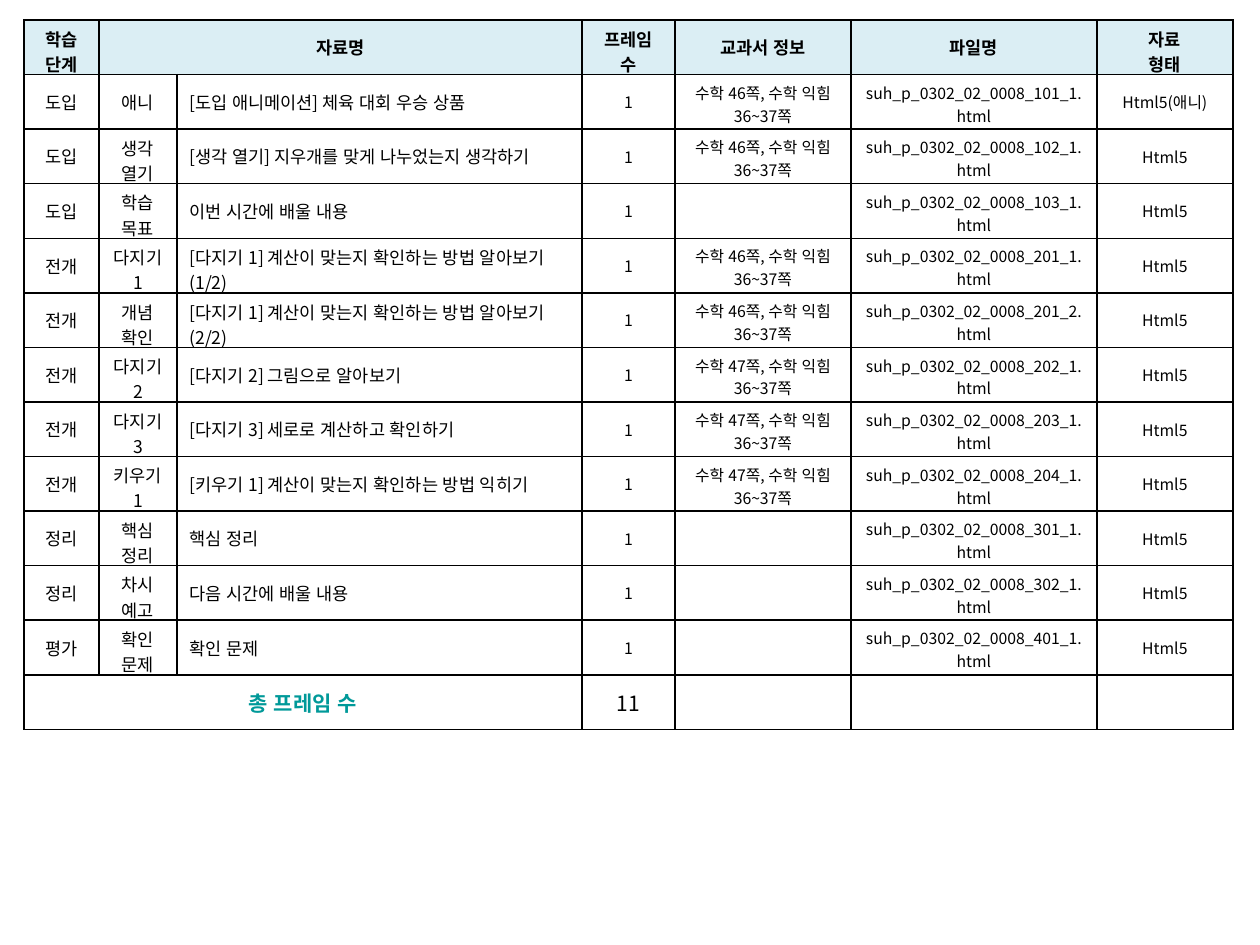
from dataclasses import dataclass

from lxml import etree
from pptx import Presentation
from pptx import util as u
from pptx.dml.color import RGBColor
from pptx.enum import lang, text
from pptx.oxml import ns

BLACK = RGBColor(0x00, 0x00, 0x00)
WHITE = RGBColor(0xFF, 0xFF, 0xFF)
TEAL = RGBColor(0x00, 0x99, 0x99)
PALE_BLUE = RGBColor(0xDB, 0xEE, 0xF4)
FONT = "Noto Sans CJK KR"
LEFT, TOP, HEIGHT = 24, 20, 710
COLUMNS = (75, 78, 405, 93, 176, 246, 136)
ONE_LINE_LENGTHS = (3, 3, 30, 3, 8, 8, 12)
HEADERS = ("학습 단계", "자료명", "", "프레임 수", "교과서 정보", "파일명", "자료\n형태")
CENTER = text.PP_ALIGN.CENTER


@dataclass(frozen=True)
class Material:
    stage: str
    step: str
    title: str
    code: str
    page: int | None = None
    form: str = "Html5"

    def values(self) -> tuple[str, ...]:
        book = f"수학 {self.page}쪽, 수학 익힘 36~37쪽" if self.page else ""
        file = f"suh_p_0302_02_0008_{self.code}.html"
        return self.stage, self.step, self.title, "1", book, file, self.form


CHECK = "[다지기 1] 계산이 맞는지 확인하는 방법 알아보기"
MATERIALS = (
    Material("도입", "애니", "[도입 애니메이션] 체육 대회 우승 상품", "101_1", 46, "Html5(애니)"),
    Material("도입", "생각 열기", "[생각 열기] 지우개를 맞게 나누었는지 생각하기", "102_1", 46),
    Material("도입", "학습 목표", "이번 시간에 배울 내용", "103_1"),
    Material("전개", "다지기 1", f"{CHECK} (1/2)", "201_1", 46),
    Material("전개", "개념\n확인", f"{CHECK} (2/2)", "201_2", 46),
    Material("전개", "다지기 2", "[다지기 2] 그림으로 알아보기", "202_1", 47),
    Material("전개", "다지기 3", "[다지기 3] 세로로 계산하고 확인하기", "203_1", 47),
    Material("전개", "키우기1", "[키우기 1] 계산이 맞는지 확인하는 방법 익히기", "204_1", 47),
    Material("정리", "핵심 정리", "핵심 정리", "301_1"),
    Material("정리", "차시 예고", "다음 시간에 배울 내용", "302_1"),
    Material("평가", "확인 문제", "확인 문제", "401_1"),
)


def px(n: int) -> u.Emu:
    return u.Emu(round(n * 914400 / 126))


def write(tf, words: str, *, size: int = 9, bold: bool = False,
          color: RGBColor = BLACK, align=CENTER) -> None:
    for i, line in enumerate(words.split("\n")):
        p = tf.paragraphs[0] if i == 0 else tf.add_paragraph()
        p.alignment = align
        if not line:
            p._p.get_or_add_endParaRPr().set("sz", str(size * 100))
            continue
        r = p.add_run()
        r.text = line
        r.font.name, r.font.size = FONT, u.Pt(size)
        r.font.bold, r.font.color.rgb = bold, color
        r.font.language_id = lang.MSO_LANGUAGE_ID.KOREAN
        ea = etree.SubElement(r.font._element, ns.qn("a:ea"))
        ea.set("typeface", FONT)


def draw_borders(cell) -> None:
    tcPr = cell._tc.get_or_add_tcPr()
    for i, side in enumerate(("lnL", "lnR", "lnT", "lnB")):
        ln = etree.Element(ns.qn(f"a:{side}"), w=str(u.Pt(1)))
        fill = etree.SubElement(ln, ns.qn("a:solidFill"))
        etree.SubElement(fill, ns.qn("a:srgbClr"), val=str(BLACK))
        tcPr.insert(i, ln)


def fill_row(table, row: int, values: tuple[str, ...], formats: tuple[dict, ...],
             fill: RGBColor = WHITE) -> None:
    for col, (value, fmt) in enumerate(zip(values, formats)):
        cell = table.cell(row, col)
        cell.vertical_anchor = text.MSO_ANCHOR.MIDDLE
        wraps = "\n" in value or len(value) > ONE_LINE_LENGTHS[col]
        if wraps and not cell.is_merge_origin:
            shift = 4 if fmt.get("size") == 10 else 2
            cell.margin_top, cell.margin_bottom = px(shift), px(-shift)
        cell.fill.solid()
        cell.fill.fore_color.rgb = fill
        draw_borders(cell)
        write(cell.text_frame, value, **fmt)


def main() -> None:
    prs = Presentation()
    prs.slide_width, prs.slide_height = px(1260), px(945)
    slide = prs.slides.add_slide(prs.slide_layouts[6])

    count = len(MATERIALS) + 2
    last = count - 1
    frame = slide.shapes.add_table(count, len(COLUMNS), px(LEFT), px(TOP),
                                   px(sum(COLUMNS)), px(HEIGHT))
    table = frame.table
    table.first_row = table.horz_banding = False
    for column, width in zip(table.columns, COLUMNS):
        column.width = px(width)

    table.cell(0, 1).merge(table.cell(0, 2))
    table.cell(last, 0).merge(table.cell(last, 2))

    header = {"size": 10, "bold": True}
    label = {"size": 10}
    title = {"size": 10, "align": text.PP_ALIGN.LEFT}
    total = {"size": 12, "bold": True, "color": TEAL}

    fill_row(table, 0, HEADERS, (header,) * len(COLUMNS), PALE_BLUE)
    for row, material in enumerate(MATERIALS, 1):
        fill_row(table, row, material.values(), (label, label, title, {}, {}, {}, {}))
    fill_row(table, last, ("총 프레임 수", "", "", "11", "", "", ""),
             (total, {}, {}, {"size": 12}, {}, {}, {}))
    prs.save("out.pptx")


if __name__ == "__main__":
    main()
